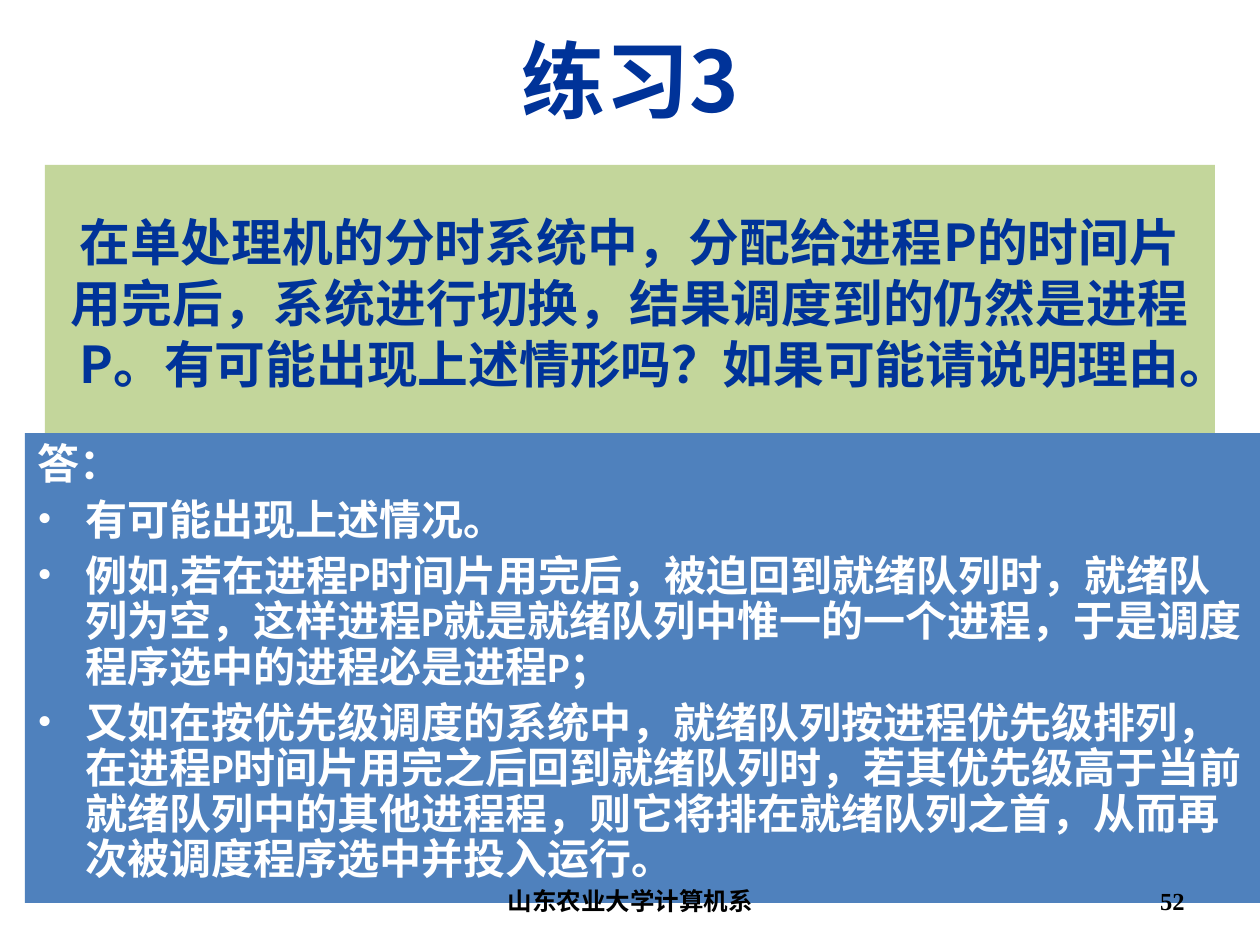
from lxml import etree
from pptx import Presentation
from pptx import util as u
from pptx.dml.color import RGBColor
from pptx.enum import shapes, text
from pptx.oxml.ns import qn

PX = 914400 / 126
COLORS = {"navy": "003399", "green": "C3D69B", "blue": "4F81BD",
          "white": "FFFFFF", "black": "000000"}
CJK = "Noto Sans CJK SC"


def px(length):
    return u.Emu(round(length * PX))


def write(paragraph, wording, size, font_name, color):
    run = paragraph.add_run()
    run.text = wording
    font_values = {"size": u.Pt(size), "name": font_name, "bold": True}
    for name, value in font_values.items():
        setattr(run.font, name, value)
    run.font.color.rgb = RGBColor.from_string(COLORS[color])
    etree.SubElement(run.font._element, qn("a:ea"), typeface=CJK)


presentation = Presentation()
presentation.slide_width, presentation.slide_height = px(1260), px(945)
slide = presentation.slides.add_slide(presentation.slide_layouts[6])

# Filled panels for the question and the answer
panels = []
for box, fill, anchor, top_inset in (
    ((45, 165, 1170, 268), "green", text.MSO_ANCHOR.MIDDLE, 12),
    ((25, 433, 1235, 470), "blue", text.MSO_ANCHOR.TOP, 9),
):
    panel = slide.shapes.add_shape(shapes.MSO_SHAPE.RECTANGLE, *map(px, box))
    panel.shadow.inherit = False
    panel.fill.solid()
    panel.fill.fore_color.rgb = RGBColor.from_string(COLORS[fill])
    panel.line.fill.background()
    frame_values = {"word_wrap": True, "vertical_anchor": anchor,
                    "margin_top": px(top_inset), "margin_bottom": px(6)}
    for name, value in frame_values.items():
        setattr(panel.text_frame, name, value)
    panels.append(panel.text_frame)
question, answer = panels

# Question
paragraph = question.paragraphs[0]
paragraph.alignment = text.PP_ALIGN.CENTER
paragraph.line_spacing = u.Pt(35)
write(paragraph, "在单处理机的分时系统中，分配给进程P的时间片用完后，系统进行切换，"
      "结果调度到的仍然是进程P。有可能出现上述情形吗？如果可能请说明理由。", 29, CJK, "navy")

# Answer: a lead line, then bulleted points with a hanging indent
answer_lines = (
    "答：",
    "有可能出现上述情况。",
    "例如,若在进程P时间片用完后，被迫回到就绪队列时，就绪队列为空，"
    "这样进程P就是就绪队列中惟一的一个进程，于是调度程序选中的进程必是进程P；",
    "又如在按优先级调度的系统中，就绪队列按进程优先级排列，"
    "在进程P时间片用完之后回到就绪队列时，若其优先级高于当前就绪队列中的其他进程程，"
    "则它将排在就绪队列之首，从而再次被调度程序选中并投入运行。",
)
for index, wording in enumerate(answer_lines):
    paragraph = answer.add_paragraph() if index else answer.paragraphs[0]
    paragraph.alignment = text.PP_ALIGN.LEFT
    paragraph.line_spacing = u.Pt(26)
    properties = paragraph._p.get_or_add_pPr()
    properties.set("marL", str(px(48)))
    properties.set("indent", str(px(-48)))
    if index:
        paragraph.space_before = u.Pt(6)
        bullet_color = etree.SubElement(properties, qn("a:buClr"))
        etree.SubElement(bullet_color, qn("a:srgbClr"), val=COLORS["white"])
        etree.SubElement(properties, qn("a:buFont"), typeface="Times New Roman")
        etree.SubElement(properties, qn("a:buChar"), char="•")
    write(paragraph, wording, 24, "Calibri", "white")

# Footer, page number and heading
for wording, box, alignment, size, font_name, color in (
    ("山东农业大学计算机系", (431, 876, 399, 50), text.PP_ALIGN.CENTER,
     14, "Times New Roman", "black"),
    ("52", (903, 876, 294, 50), text.PP_ALIGN.RIGHT, 14, "Times New Roman", "black"),
    ("练习3", (95, 0, 1071, 157), text.PP_ALIGN.CENTER, 48, CJK, "navy"),
):
    frame = slide.shapes.add_textbox(*map(px, box)).text_frame
    frame.word_wrap = True
    frame.vertical_anchor = text.MSO_ANCHOR.MIDDLE
    frame.paragraphs[0].alignment = alignment
    write(frame.paragraphs[0], wording, size, font_name, color)

presentation.save("out.pptx")
